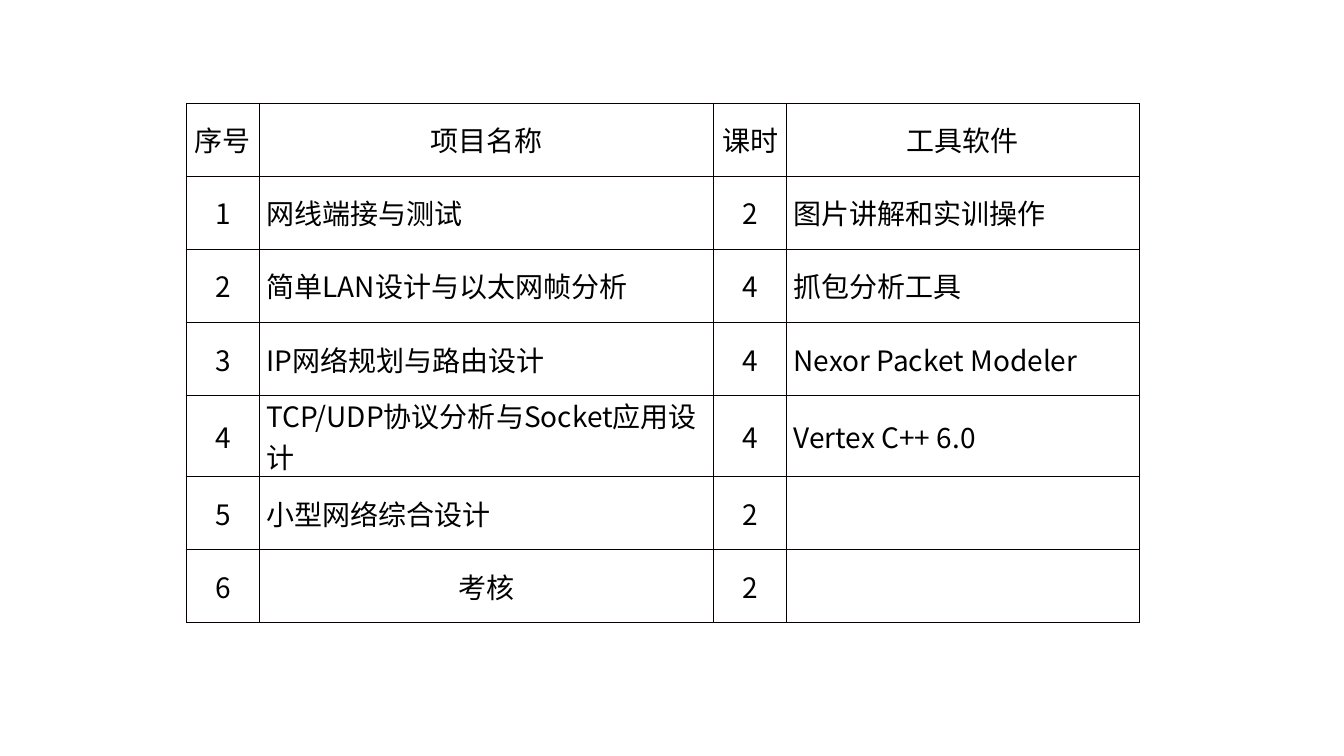
from lxml.etree import SubElement
from pptx import Presentation
from pptx.dml.color import RGBColor
from pptx.enum.text import MSO_ANCHOR as Anchor, PP_ALIGN as Align
from pptx.oxml.ns import qn
from pptx.util import Cm, Pt

HEADINGS = ("序号", "项目名称", "课时", "工具软件")
PROJECTS = (
    ("1", "网线端接与测试", "2", "图片讲解和实训操作"),
    ("2", "简单LAN设计与以太网帧分析", "4", "抓包分析工具"),
    ("3", "IP网络规划与路由设计", "4", "Nexor Packet Modeler"),
    ("4", "TCP/UDP协议分析与Socket应用设计", "4", "Vertex C++ 6.0"),
    ("5", "小型网络综合设计", "2", ""),
    ("6", "考核", "2", ""),
)
COLUMN_WIDTHS = (1.83, 11.46, 1.83, 8.89)
ROW_HEIGHT = 1.84
CENTRED_COLUMNS = (0, 2)


def colour(hex_value):
    """Turn a hex string into a colour."""
    return RGBColor.from_string(hex_value)


class SlideBuilder:
    """Draws styled elements on the current slide."""

    font = "Noto Sans CJK SC"
    size = Pt(20)
    ink = "000000"
    rule = "080000"
    rule_width = Pt(1)

    def __init__(self, slide):
        """Keep the slide to draw on."""
        self.slide = slide

    def schedule(self, left, top, widths, row_height, rows):
        """Add the table of projects with a heading row."""
        frame = self.slide.shapes.add_table(
            len(rows), len(widths), Cm(left), Cm(top),
            Cm(sum(widths)), Cm(row_height * len(rows)))
        table = frame.table
        table.first_row = table.horz_banding = False
        for column, width in zip(table.columns, widths):
            column.width = Cm(width)
        for row_index, entries in enumerate(rows):
            table.rows[row_index].height = Cm(row_height)
            for column_index, entry in enumerate(entries):
                centred = (row_index in (0, len(rows) - 1)
                           or column_index in CENTRED_COLUMNS)
                self.entry(table.cell(row_index, column_index), entry,
                           Align.CENTER if centred else Align.LEFT)

    def entry(self, cell, text, alignment):
        """Fill one table cell with text and style it."""
        cell.margin_left = cell.margin_right = Cm(0.18)
        cell.margin_top = cell.margin_bottom = 0
        cell.vertical_anchor = Anchor.MIDDLE
        self.borders(cell)
        cell.fill.background()
        paragraph = cell.text_frame.paragraphs[0]
        paragraph.text = text
        paragraph.alignment = alignment
        for run in paragraph.runs:
            run.font.size = self.size
            run.font.color.rgb = colour(self.ink)
            run.font.name = self.font
            SubElement(run.font._element, qn("a:ea"), typeface=self.font)

    def borders(self, cell):
        """Rule all four sides of a cell."""
        properties = cell._tc.get_or_add_tcPr()
        for side in ("a:lnL", "a:lnR", "a:lnT", "a:lnB"):
            line = SubElement(properties, qn(side), w=str(self.rule_width))
            fill = SubElement(line, qn("a:solidFill"))
            SubElement(fill, qn("a:srgbClr"), val=self.rule)


def main():
    """Build the slide and save it."""
    deck = Presentation()
    deck.slide_width, deck.slide_height = Cm(33.87), Cm(19.05)
    builder = SlideBuilder(deck.slides.add_slide(deck.slide_layouts[6]))
    builder.schedule(4.7, 2.6, COLUMN_WIDTHS, ROW_HEIGHT, (HEADINGS, *PROJECTS))
    deck.save("out.pptx")


if __name__ == "__main__":
    main()
